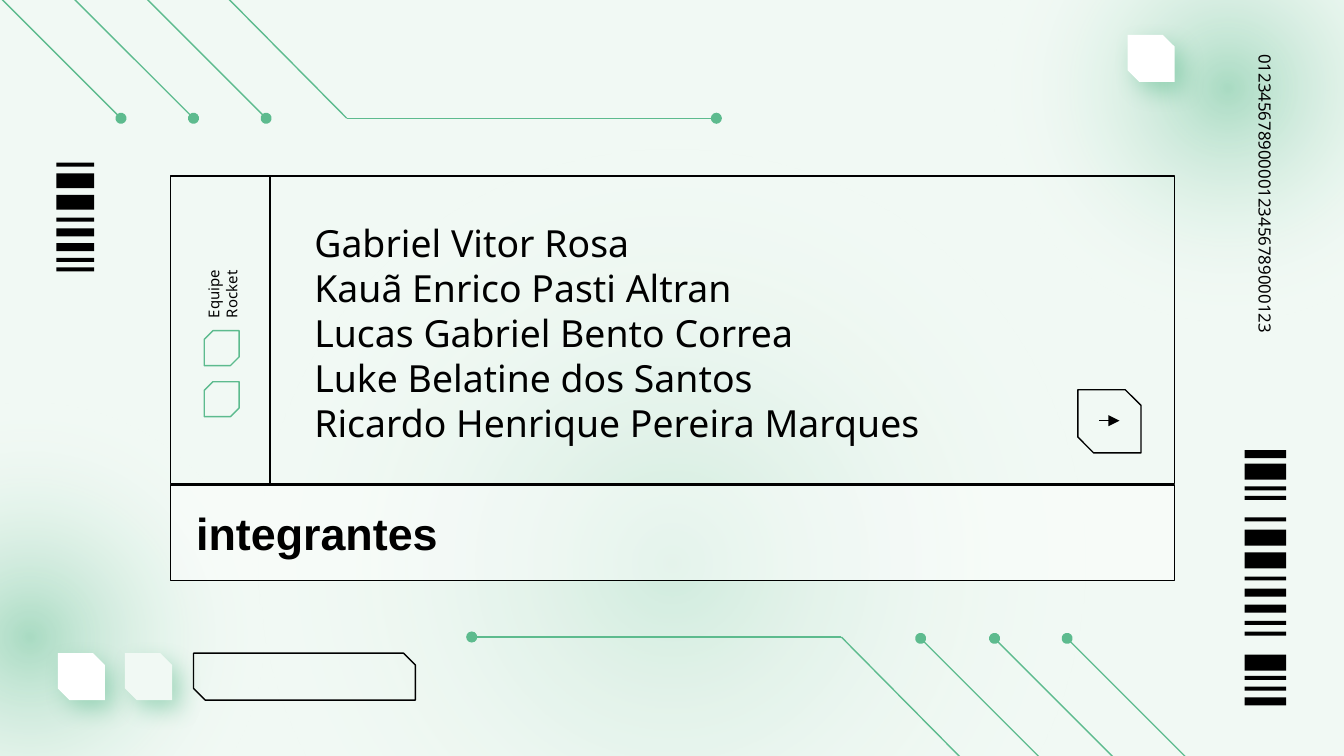
from dataclasses import dataclass
from typing import Optional

from lxml import etree
from pptx import Presentation
from pptx.dml.color import RGBColor
from pptx.enum.shapes import MSO_CONNECTOR, MSO_SHAPE
from pptx.enum.text import MSO_ANCHOR, PP_ALIGN
from pptx.oxml import parse_xml
from pptx.oxml.ns import qn
from pptx.util import Pt

LINE = MSO_CONNECTOR.STRAIGHT
RECT = MSO_SHAPE.RECTANGLE
OVAL = MSO_SHAPE.OVAL
SNIP = MSO_SHAPE.SNIP_2_DIAG_RECTANGLE
MIDDLE = MSO_ANCHOR.MIDDLE
TOP = MSO_ANCHOR.TOP
CENTER = PP_ALIGN.CENTER
LEFT = PP_ALIGN.LEFT

PX = 9144
GREEN, BLACK, WHITE, MINT = "5DBB8E", "000000", "FFFFFF", "F1F9F4"
NS = 'xmlns:a="http://schemas.openxmlformats.org/drawingml/2006/main"'


@dataclass
class Box:
    x: int
    y: int
    w: int
    h: int
    kind: int = RECT
    fill: Optional[str] = None
    line: Optional[str] = None
    alpha: int = 100
    rotation: int = 0
    shadow: bool = False


@dataclass
class Glow:
    x: int
    y: int
    size: int
    alpha: int


@dataclass
class Wire:
    x1: int
    y1: int
    x2: int
    y2: int
    color: str = GREEN
    tail: Optional[str] = "oval"


@dataclass
class Label:
    x: int
    y: int
    w: int
    h: int
    lines: tuple
    size: int
    font: str = "Noto Sans"
    bold: bool = False
    anchor: int = MIDDLE
    align: int = LEFT
    rotation: int = 0


def color(value: str) -> RGBColor:
    return RGBColor.from_string(value)


def draw_box(s, box: Box):
    sp = s.shapes.add_shape(box.kind, *(v * PX for v in (box.x, box.y, box.w, box.h)))
    sp.shadow.inherit = False
    sp.rotation = box.rotation
    if box.kind == SNIP:
        sp.adjustments[0] = 0
        sp.adjustments[1] = 0.25
    if box.fill:
        sp.fill.solid()
        sp.fill.fore_color.rgb = color(box.fill)
        if box.alpha < 100:
            clr = sp.element.spPr.find(qn("a:solidFill"))[0]
            etree.SubElement(clr, qn("a:alpha"), val=str(box.alpha * 1000))
    else:
        sp.fill.background()
    if box.line:
        sp.line.color.rgb = color(box.line)
        sp.line.width = Pt(0.75)
    else:
        sp.line.fill.background()
    if box.shadow:
        sp.element.spPr.find(qn("a:effectLst")).append(parse_xml(
            f'<a:outerShdw {NS} blurRad="{Pt(12.4)}" dist="{Pt(6.8)}" dir="{49 * 60000}" '
            f'algn="bl" rotWithShape="0"><a:srgbClr val="{GREEN}">'
            '<a:alpha val="47000"/></a:srgbClr></a:outerShdw>'))
    return sp


def draw_glow(s, glow: Glow) -> None:
    sp = draw_box(s, Box(glow.x, glow.y, glow.size, glow.size, OVAL))
    stops = "".join(
        f'<a:gs pos="{pos * 1000}"><a:srgbClr val="{c}"><a:alpha val="{a * 1000}"/></a:srgbClr></a:gs>'
        for pos, c, a in ((0, GREEN, glow.alpha), (71, WHITE, 0), (100, WHITE, 0)))
    spPr = sp.element.spPr
    spPr.replace(spPr.find(qn("a:noFill")), parse_xml(
        f'<a:gradFill {NS} rotWithShape="1"><a:gsLst>{stops}</a:gsLst><a:path path="circle">'
        '<a:fillToRect l="50000" t="50000" r="50000" b="50000"/></a:path></a:gradFill>'))


def draw_wire(s, wire: Wire) -> None:
    c = s.shapes.add_connector(LINE, *(v * PX for v in (wire.x1, wire.y1, wire.x2, wire.y2)))
    c.line.color.rgb = color(wire.color)
    c.line.width = Pt(0.75)
    if wire.tail:
        ln = c.element.spPr.find(qn("a:ln"))
        etree.SubElement(ln, qn("a:tailEnd"), type=wire.tail)
    etree.SubElement(c.element.spPr, qn("a:effectLst"))


def draw_barcode(s, x: int, w: int, bars: tuple) -> None:
    for y, h in bars:
        draw_box(s, Box(x, y, w, h, fill=BLACK))


def write_label(sp, label: Label) -> None:
    place = {"left": label.x, "top": label.y, "width": label.w, "height": label.h}
    for name, value in place.items():
        setattr(sp, name, value * PX)
    sp.rotation = label.rotation
    tf = sp.text_frame
    frame = {"word_wrap": True, "vertical_anchor": label.anchor}
    frame.update({f"margin_{side}": 10 * PX for side in ("left", "top", "right", "bottom")})
    for name, value in frame.items():
        setattr(tf, name, value)
    tf.text = "\n".join(label.lines)
    style = {"name": label.font, "size": Pt(label.size), "bold": label.bold}
    for p in tf.paragraphs:
        p.alignment = label.align
        for r in p.runs:
            for name, value in style.items():
                setattr(r.font, name, value)
            r.font.color.rgb = color(BLACK)


def draw_label(s, label: Label) -> None:
    write_label(s.shapes.add_textbox(0, 0, PX, PX), label)


GLOWS = (Glow(191, 110, 618, 22), Glow(739, -109, 348, 48), Glow(-152, 300, 348, 48))
RIGHT_BARS = (
    (335, 6), (345, 12), (362, 3), (369, 3), (385, 3), (394, 12), (411, 12), (429, 3),
    (438, 6), (450, 6), (462, 3), (470, 3), (487, 12), (503, 3), (511, 3), (519, 6))
LEFT_BARS = ((121, 3), (129, 11), (145, 11), (162, 3), (170, 6), (181, 6), (192, 3), (199, 3))
WIRES = (
    Wire(164, -7, 258, 88, tail=None), Wire(258, 88, 533, 88),
    *(Wire(x - 102, -14, x, 88) for x in (90, 144, 198)),
    Wire(720, 569, 626, 474, tail=None), Wire(626, 474, 351, 474),
    *(Wire(x + 102, 577, x, 475) for x in (794, 740, 685)))
BADGES = (
    Box(43, 486, 35, 35, SNIP, WHITE, shadow=True),
    Box(144, 486, 165, 35, SNIP, line=BLACK),
    Box(93, 486, 35, 35, SNIP, MINT, shadow=True),
    Box(839, 26, 35, 35, SNIP, WHITE, shadow=True))
PANELS = (
    Box(127, 361, 747, 71, fill=WHITE, line=BLACK, alpha=44),
    Box(127, 131, 747, 229, line=BLACK),
    *(Box(152, y, 26, 26, SNIP, line=GREEN, rotation=270) for y in (284, 246)),
    Box(802, 290, 47, 47, SNIP, line=BLACK))
PANEL_LINES = (
    Wire(201, 131, 201, 361, BLACK, None),
    Wire(818, 313, 833, 313, BLACK, "triangle"))
TITLE = Label(136, 361, 525, 71, ("integrantes",), 24, "Arial", True)
MEMBERS = (
    "Gabriel Vitor Rosa", "Kauã Enrico Pasti Altran", "Lucas Gabriel Bento Correa",
    "Luke Belatine dos Santos", "Ricardo Henrique Pereira Marques")
LABELS = (
    Label(823, 133, 237, 22, ("01234567890000123456789000123",), 9, align=CENTER, rotation=90),
    Label(224, 154, 525, 182, MEMBERS, 20, anchor=TOP),
    Label(133, 203, 65, 22, ("Equipe Rocket",), 8, rotation=270))


def main() -> None:
    prs = Presentation()
    prs.slide_width = 1000 * PX
    prs.slide_height = prs.slide_width * 9 // 16
    s = prs.slides.add_slide(prs.slide_layouts[5])
    s.background.fill.solid()
    s.background.fill.fore_color.rgb = color(MINT)
    for glow in GLOWS:
        draw_glow(s, glow)
    draw_barcode(s, 926, 31, RIGHT_BARS)
    draw_barcode(s, 42, 28, LEFT_BARS)
    for wire in WIRES:
        draw_wire(s, wire)
    for box in BADGES + PANELS:
        draw_box(s, box)
    for wire in PANEL_LINES:
        draw_wire(s, wire)
    title = s.shapes.title
    write_label(title, TITLE)
    title.element.getparent().append(title.element)
    for label in LABELS:
        draw_label(s, label)
    prs.save("out.pptx")


if __name__ == "__main__":
    main()
